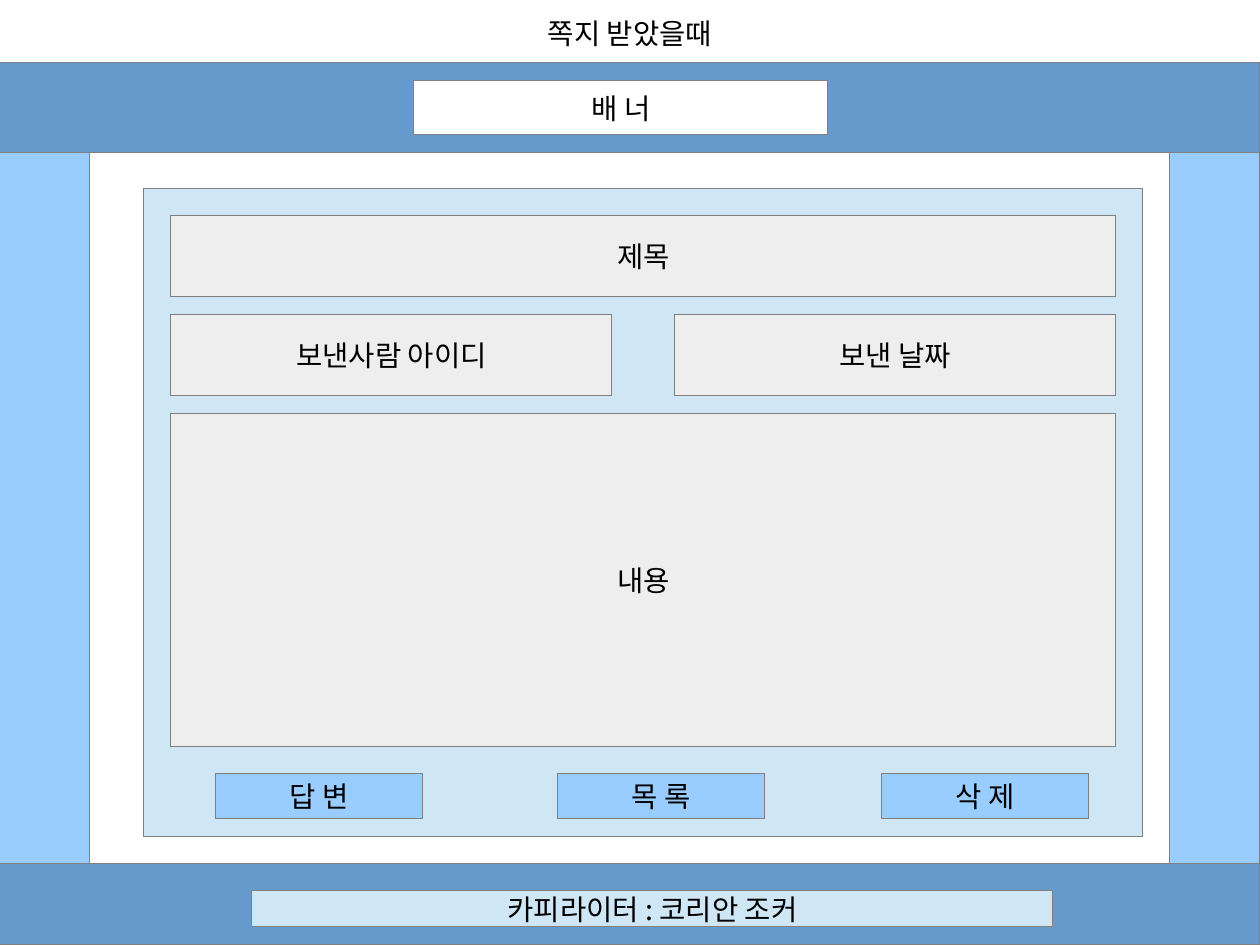
"""Build the wireframe slide for a received message."""
from pptx import Presentation
from pptx.dml.color import RGBColor
from pptx.enum.shapes import MSO_SHAPE as Shape
from pptx.enum.text import MSO_ANCHOR as Anchor, MSO_AUTO_SIZE as Fit, PP_ALIGN as Align
from pptx.oxml.ns import qn
from pptx.util import Cm, Emu, Inches, Pt
from lxml.etree import SubElement

COLS, ROWS = 28, 21
WIDE, HIGH = Cm(COLS), Cm(ROWS)
FONT = "Noto Sans CJK KR"
HAIR = Emu(1)
BLACK = RGBColor(0x00, 0x00, 0x00)
WHITE = RGBColor(0xFF, 0xFF, 0xFF)
GRAY = RGBColor(0x80, 0x80, 0x80)
PALE = RGBColor(0xEE, 0xEE, 0xEE)
BLUE = RGBColor(0x66, 0x99, 0xCC)
SKY = RGBColor(0x99, 0xCC, 0xFF)
ICE = RGBColor(0xCF, 0xE7, 0xF5)


def grid(col, row, cols, rows):
    """Turn grid columns and rows into slide lengths."""
    return (round(WIDE * col / COLS), round(HIGH * row / ROWS),
            round(WIDE * cols / COLS), round(HIGH * rows / ROWS))


def write(shape, text, anchor=Anchor.MIDDLE):
    """Put centred black text into a shape."""
    frame = shape.text_frame
    frame.text = text
    frame.word_wrap = True
    frame.auto_size = Fit.NONE
    frame.vertical_anchor = anchor
    frame.margin_left = frame.margin_right = Inches(0.1)
    frame.margin_top = frame.margin_bottom = Inches(0.05)
    line = frame.paragraphs[0]
    line.alignment = Align.CENTER
    for run in line.runs:
        run.font.size = Pt(18)
        run.font.name = FONT
        run.font.color.rgb = BLACK
        SubElement(run.font._element, qn("a:ea")).set("typeface", FONT)


def box(slide, area, fill, text=""):
    """Draw a thinly outlined rectangle on the grid."""
    shape = slide.shapes.add_shape(Shape.RECTANGLE, *grid(*area))
    shape.shadow.inherit = False
    shape.fill.solid()
    shape.fill.fore_color.rgb = fill
    shape.line.color.rgb = GRAY
    shape.line.width = HAIR
    if text:
        write(shape, text)


def head(slide, area, text):
    """Place and format the slide title."""
    title = slide.shapes.title
    title.left, title.top, title.width, title.height = grid(*area)
    write(title, text, Anchor.TOP)


def page(slide):
    """Draw the banner, side bars and footer."""
    box(slide, (0, 1.4, COLS, 2), BLUE)
    for col in (0, COLS - 2):
        box(slide, (col, 3.4, 2, 15.8), SKY)
    box(slide, (0, 19.2, COLS, 1.8), BLUE)
    box(slide, (9.2, 1.8, 9.2, 1.2), WHITE, "배 너")
    box(slide, (5.6, 19.8, 17.8, 0.8), ICE, "카피라이터 : 코리안 조커")


def note(slide):
    """Draw the message panel with its fields and buttons."""
    left, wide, half = 3.8, 21, 9.8
    box(slide, (3.2, 4.2, 22.2, 14.4), ICE)
    box(slide, (left, 4.8, wide, 1.8), PALE, "제목")
    box(slide, (left, 7, half, 1.8), PALE, "보낸사람 아이디")
    box(slide, (left + wide - half, 7, half, 1.8), PALE, "보낸 날짜")
    box(slide, (left, 9.2, wide, 7.4), PALE, "내용")
    for col, text in ((4.8, "답 변"), (12.4, "목 록"), (19.6, "삭 제")):
        box(slide, (col, 17.2, 4.6, 1), SKY, text)


def main():
    """Build and save the slide."""
    deck = Presentation()
    deck.slide_width, deck.slide_height = WIDE, HIGH
    slide = deck.slides.add_slide(deck.slide_layouts[5])
    head(slide, (10.2, 0.23, 7.6, 1.17), "쪽지 받았을때")
    page(slide)
    note(slide)
    deck.save("out.pptx")


if __name__ == "__main__":
    main()
